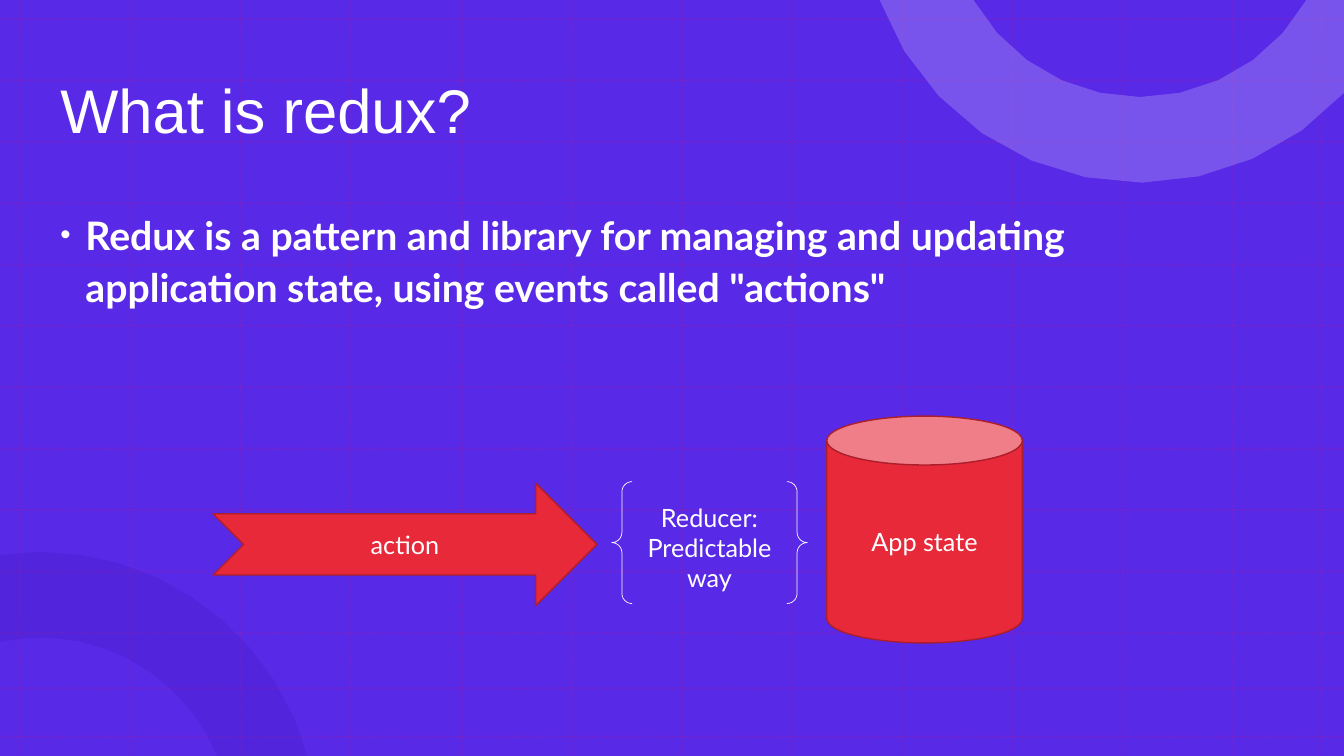
import math

import lxml.etree
import pptx
import pptx.dml.color
import pptx.enum.dml
import pptx.enum.shapes
import pptx.enum.text
import pptx.oxml.ns
import pptx.util

Pt = pptx.util.Pt
qn = pptx.oxml.ns.qn
RGBColor = pptx.dml.color.RGBColor
SHAPE = pptx.enum.shapes.MSO_SHAPE
ANCHOR = pptx.enum.text.MSO_ANCHOR
ALIGN = pptx.enum.text.PP_ALIGN

COLORS = {
    "background": "5829E7",
    "grid": "D51777",
    "dark ring": "3D15B7",
    "light ring": "9B7FF1",
    "red": "E7293A",
    "red outline": "AB1E2B",
    "white": "FFFFFF",
}
WIDTH, HEIGHT = 960, 540


def set_color(color_format, name, opacity=100):
    color_format.rgb = RGBColor.from_string(COLORS[name])
    if opacity < 100:
        color_element = color_format._xFill.find(qn("a:srgbClr"))
        lxml.etree.SubElement(color_element, qn("a:alpha"), val=str(opacity * 1000))


def write_text(shape, text, size=18, font="Lato", bold=False, align=ALIGN.CENTER,
               anchor=ANCHOR.MIDDLE, line_spacing=None, space_before=None):
    frame = shape.text_frame
    frame.word_wrap = True
    frame.vertical_anchor = anchor
    frame.text = text
    for paragraph in frame.paragraphs:
        paragraph.alignment = align
        paragraph.line_spacing = line_spacing
        paragraph.space_before = space_before
        for run in paragraph.runs:
            run.font.name = font
            run.font.size = Pt(size)
            run.font.bold = bold
            set_color(run.font.color, "white")
    return frame.paragraphs[0]


presentation = pptx.Presentation()
presentation.slide_width, presentation.slide_height = Pt(WIDTH), Pt(HEIGHT)
slide = presentation.slides.add_slide(presentation.slide_layouts[6])

# Backdrop
backdrop = slide.shapes.add_shape(SHAPE.RECTANGLE, 0, 0, Pt(WIDTH), Pt(HEIGHT))
backdrop.shadow.inherit = False
backdrop.fill.solid()
set_color(backdrop.fill.fore_color, "background")
backdrop.line.fill.background()

# Dotted grid: regular steps plus the lines near the right and bottom edges
columns = [14.6 + 78.73 * index for index in range(12)] + [943.9]
rows = [13.7 + 43.84 * index for index in range(11)] + [491.8, 526.3]
grid_lines = [(x, 0, x, HEIGHT) for x in columns] + [(-0.7, y, WIDTH, y) for y in rows]
grid = slide.shapes.add_group_shape()
for ends in grid_lines:
    connector = grid.shapes.add_connector(
        pptx.enum.shapes.MSO_CONNECTOR.STRAIGHT, *[Pt(value) for value in ends])
    connector.line.width = Pt(1.5)
    connector.line.fill.solid()
    set_color(connector.line.fill.fore_color, "grid", 20)
    connector.line.dash_style = pptx.enum.dml.MSO_LINE.ROUND_DOT
    lxml.etree.SubElement(connector._element.spPr, qn("a:effectLst"))

# Rings cut by the slide edge: centre, outer and inner arcs (degrees), corner
OUTER_RADIUS, INNER_RADIUS, ARC_STEPS = 197.8, 136.6, 10
rings = [
    ("dark ring", 20, (28.8, 592), (-98.5, -15.3), (-22.4, -102.4), []),
    ("light ring", 50, (814.3, -67.3), (160.1, 42.5), (29.6, 150.4), [(WIDTH, 0)]),
]
for color, opacity, (center_x, center_y), outer_arc, inner_arc, corner in rings:
    arcs = []
    for radius, (start, end) in ((OUTER_RADIUS, outer_arc), (INNER_RADIUS, inner_arc)):
        angles = [math.radians(start + (end - start) * step / ARC_STEPS)
                  for step in range(ARC_STEPS + 1)]
        arcs.append([(center_x + radius * math.cos(angle),
                      center_y + radius * math.sin(angle)) for angle in angles])
    outline = [(Pt(x), Pt(y)) for x, y in arcs[0] + corner + arcs[1]]
    builder = slide.shapes.build_freeform(*outline[0])
    builder.add_line_segments(outline[1:], close=True)
    ring = builder.convert_to_shape()
    ring.shadow.inherit = False
    ring.fill.solid()
    set_color(ring.fill.fore_color, color, opacity)
    ring.line.fill.background()

# Title
title = slide.shapes.add_textbox(Pt(36), Pt(28.8), Pt(844.6), Pt(104.4))
write_text(title, "What is redux?", size=44, font="Arial", align=ALIGN.LEFT,
           line_spacing=0.9)

# Bulleted definition
body = slide.shapes.add_textbox(Pt(36), Pt(144), Pt(844.6), Pt(342.7))
definition = write_text(
    body,
    'Redux is a pattern and library for managing and updating application state, '
    'using events called "actions"',
    size=28, bold=True, align=ALIGN.LEFT, anchor=ANCHOR.TOP,
    line_spacing=1.1, space_before=Pt(10))
properties = definition._p.get_or_add_pPr()
properties.set("marL", str(Pt(18)))
properties.set("indent", str(-Pt(18)))
bullet_color = lxml.etree.SubElement(properties, qn("a:buClr"))
lxml.etree.SubElement(bullet_color, qn("a:srgbClr"), val=COLORS["white"])
lxml.etree.SubElement(properties, qn("a:buSzPct"), val="75000")
lxml.etree.SubElement(properties, qn("a:buFont"), typeface="Arial")
lxml.etree.SubElement(properties, qn("a:buChar"), char="•")

# Flow: action, reducer, state
flow = [
    (SHAPE.CAN, (590.6, 297.2, 139.7, 162), "App state", "red", "red outline", 1),
    (SHAPE.NOTCHED_RIGHT_ARROW, (152.1, 345.1, 274.3, 87.6), "action",
     "red", "red outline", 1),
    (SHAPE.DOUBLE_BRACE, (437, 344, 139.7, 87.1), "Reducer:\nPredictable way",
     None, "white", 0.5),
]
flow_group = slide.shapes.add_group_shape()
for preset, box, text, fill, outline_color, outline_width in flow:
    shape = flow_group.shapes.add_shape(preset, *[Pt(value) for value in box])
    shape.shadow.inherit = False
    if fill:
        shape.fill.solid()
        set_color(shape.fill.fore_color, fill)
    else:
        shape.fill.background()
    set_color(shape.line.color, outline_color)
    shape.line.width = Pt(outline_width)
    write_text(shape, text)

presentation.save("out.pptx")
